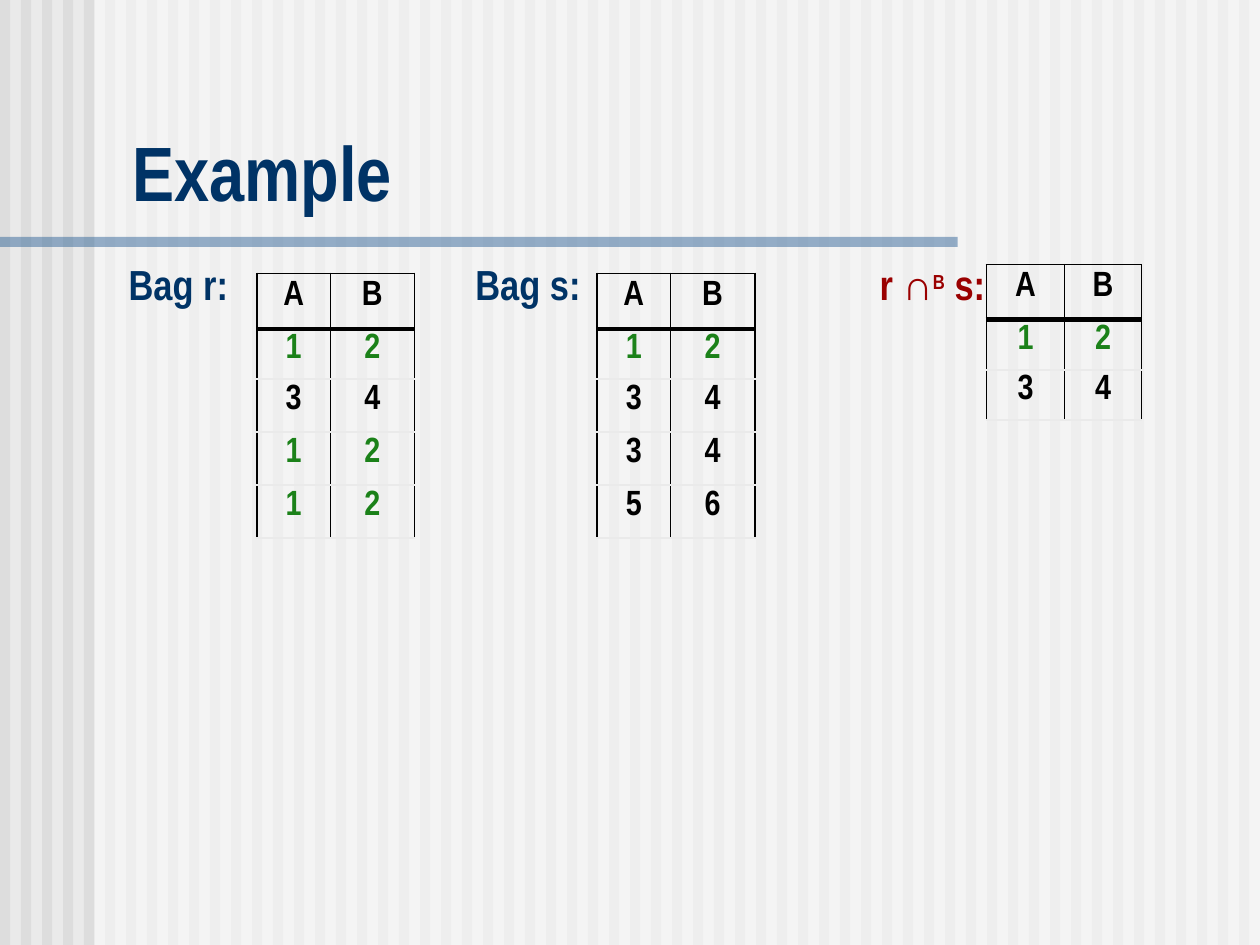
from lxml.etree import SubElement
from pptx import Presentation
from pptx.dml.color import RGBColor
from pptx.enum.shapes import MSO_SHAPE
from pptx.enum.text import MSO_ANCHOR, PP_ALIGN
from pptx.oxml.ns import qn
from pptx.util import Inches, Pt

COLORS = {
    "background": "EAEAEA",
    "stripe": "DDDDDD",
    "veil": "FFFFFF",
    "rule": "336699",
    "heading": "003366",
    "result": "9A0000",
    "match": "1B8119",
    "ink": "000000",
}
FONT = "Arial Narrow"
THIN, OUTER, ROW_LINE, HEADER_LINE = 0.45, 1.08, 1.47, 3

BAG_COLS, BAG_ROWS = (0.58, 0.67), (0.44, 0.4, 0.42, 0.42, 0.42)
RESULT_COLS, RESULT_ROWS = (0.62, 0.61), (0.43, 0.4, 0.4)


def rgb(name):
    return RGBColor.from_string(COLORS[name])


def style_run(run, size, color, font=FONT):
    run.font.name = font
    run.font.size = Pt(size)
    run.font.bold = True
    run.font.color.rgb = rgb(color)


def add_bar(shapes, box, color, opacity=100):
    bar = shapes.add_shape(MSO_SHAPE.RECTANGLE, *map(Inches, box))
    bar.shadow.inherit = False
    bar.fill.solid()
    bar.fill.fore_color.rgb = rgb(color)
    bar.line.fill.background()
    if opacity < 100:
        srgb = bar.element.spPr.find(".//" + qn("a:srgbClr"))
        SubElement(srgb, qn("a:alpha"), val=str(opacity * 1000))


def add_backdrop(slide):
    """Striped background, veiled right of the left margin, with the title rule."""
    slide.background.fill.solid()
    slide.background.fill.fore_color.rgb = rgb("background")
    backdrop = slide.shapes.add_group_shape().shapes
    for stripe in range(60):
        add_bar(backdrop, (stripe / 6, 0, 0.08, 7.5), "stripe")
    add_bar(backdrop, (0.75, 0, 9.25, 7.5), "veil", 50)
    add_bar(backdrop, (0, 1.88, 7.6, 0.08), "rule", 50)


def set_title(slide, box, text):
    title = slide.shapes.title
    title.left, title.top, title.width, title.height = map(Inches, box)
    frame = title.text_frame
    frame.text = text
    frame.vertical_anchor = MSO_ANCHOR.BOTTOM
    frame.paragraphs[0].alignment = PP_ALIGN.LEFT
    style_run(frame.paragraphs[0].runs[0], 44, "heading")
    # The veil is translucent, so the title has to lie in front of it.
    slide.shapes.element.append(title.element)


def add_label(slide, box, text, color="heading"):
    label = slide.shapes.add_textbox(*map(Inches, box)).text_frame
    label.word_wrap = False
    label.text = text
    paragraph = label.paragraphs[0]
    paragraph.alignment = PP_ALIGN.CENTER
    style_run(paragraph.runs[0], 24, color)
    return paragraph


def add_result_label(slide, box):
    paragraph = add_label(slide, box, "r ", "result")
    for text, size, font in (("∩", 24, "Arial"), ("B", 20, FONT), (" s:", 24, FONT)):
        run = paragraph.add_run()
        run.text = text
        style_run(run, size, "result", font)
        if text == "B":
            run.font._element.set("baseline", "30000")


def set_borders(cell, borders):
    properties = cell._tc.get_or_add_tcPr()
    for side, (color, width) in borders.items():
        line = SubElement(properties, qn(f"a:ln{side}"), w=str(int(Pt(width))))
        fill = SubElement(line, qn("a:solidFill"))
        SubElement(fill, qn("a:srgbClr"), val=COLORS[color])


def row_borders(row):
    header, row_line = ("ink", HEADER_LINE), ("background", ROW_LINE)
    top = {0: ("ink", OUTER), 1: header}.get(row, row_line)
    return {"T": top, "B": header if row == 0 else row_line}


def add_relation(slide, left, top, widths, heights, tuples):
    """Table with columns A and B; tuples (1, 2) are marked as matches."""
    rows = [("A", "B"), *tuples]
    frame = slide.shapes.add_table(
        len(rows), len(widths), Inches(left), Inches(top),
        Inches(sum(widths)), Inches(sum(heights)))
    table = frame.table
    table.first_row = table.horz_banding = False
    for column, width in zip(table.columns, widths):
        column.width = Inches(width)
    for r, (values, height) in enumerate(zip(rows, heights)):
        table.rows[r].height = Inches(height)
        for c, value in enumerate(values):
            cell = table.cell(r, c)
            sides = {"L": ("ink", THIN if c else OUTER),
                     "R": ("ink", OUTER if c else THIN)}
            set_borders(cell, sides | row_borders(r))
            cell.fill.background()
            cell.text_frame.text = str(value)
            paragraph = cell.text_frame.paragraphs[0]
            paragraph.alignment = PP_ALIGN.CENTER
            if r:
                paragraph.line_spacing = 0.9
            style_run(paragraph.runs[0], 20, "match" if values == (1, 2) else "ink")


def main():
    presentation = Presentation()
    presentation.slide_width, presentation.slide_height = Inches(10), Inches(7.5)
    slide = presentation.slides.add_slide(presentation.slide_layouts[5])
    add_backdrop(slide)
    set_title(slide, (0.95, 0.94, 8.93, 0.83), "Example")

    add_label(slide, (0.92, 2, 0.99, 0.5), "Bag r:")
    add_relation(slide, 2.04, 2.17, BAG_COLS, BAG_ROWS,
                 [(1, 2), (3, 4), (1, 2), (1, 2)])
    add_label(slide, (3.67, 2, 1.04, 0.5), "Bag s:")
    add_relation(slide, 4.74, 2.17, BAG_COLS, BAG_ROWS,
                 [(1, 2), (3, 4), (3, 4), (5, 6)])
    add_result_label(slide, (6.87, 2, 1.06, 0.5))
    add_relation(slide, 7.83, 2.1, RESULT_COLS, RESULT_ROWS, [(1, 2), (3, 4)])
    presentation.save("out.pptx")


if __name__ == "__main__":
    main()
